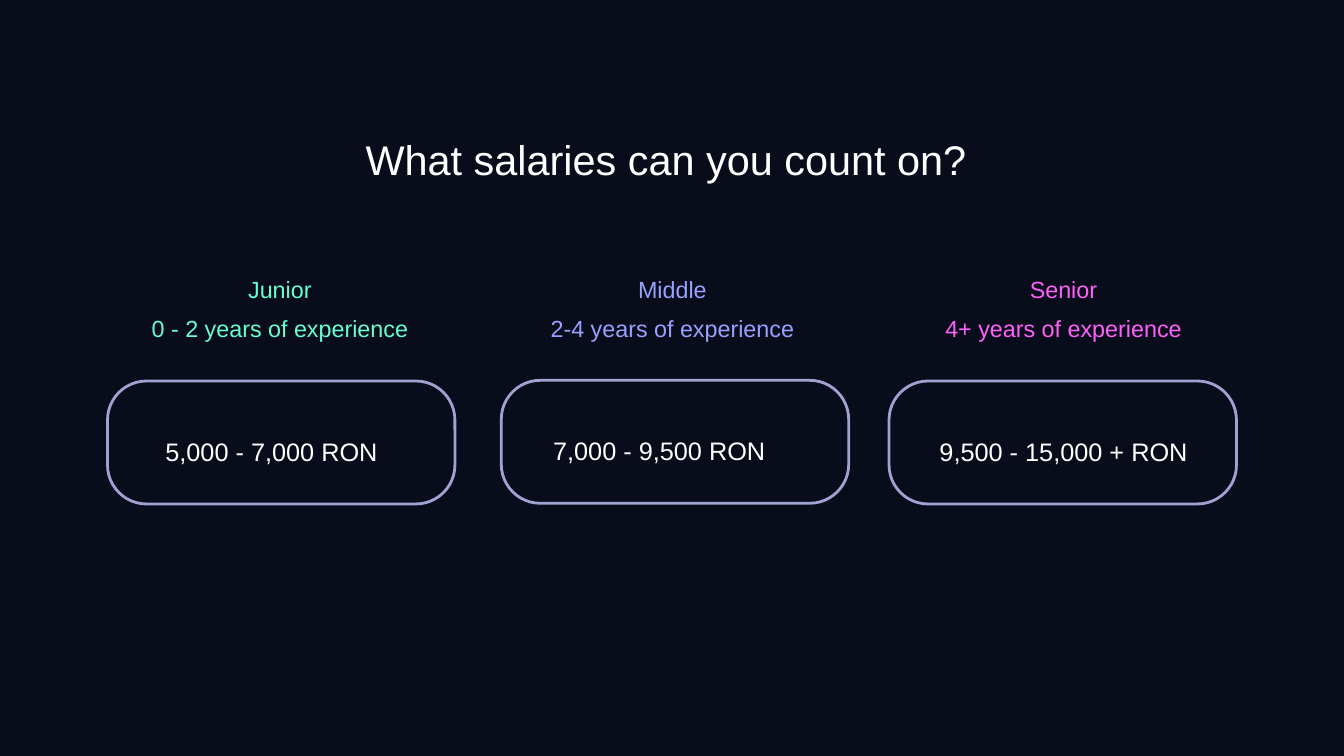
from pptx import Presentation
from pptx.dml.color import RGBColor
from pptx.enum import shapes, text
from pptx.util import Inches, Pt

COLORS = {
    "background": "080C1B",
    "white": "FFFFFF",
    "outline": "9EA3D2",
    "junior": "67FECF",
    "middle": "99A1FF",
    "senior": "FF61F8",
}
FONT = "Arial"
CARD_WIDTH, CARD_HEIGHT, CORNER_RADIUS = 5.17, 1.83, 0.58

# level, experience, salary, level colour, heading left, card left, card top, salary left, salary width
LEVELS = [
    ("Junior", "0 - 2 years of experience", "5,000 - 7,000 RON", "junior", 1.86, 1.6, 5.67, 2.46, 3.81),
    ("Middle", "2-4 years of experience", "7,000 - 9,500 RON", "middle", 7.7, 7.46, 5.66, 8.23, 3.81),
    ("Senior", "4+ years of experience", "9,500 - 15,000 + RON", "senior", 13.52, 13.23, 5.67, 13.98, 5.39),
]


def rgb(name):
    return RGBColor.from_string(COLORS[name])


def add_text(slide, lines, left, top, width, height, *, size, color="white",
             align=text.PP_ALIGN.LEFT):
    """Add a text box without margins, one paragraph per line."""
    box = slide.shapes.add_textbox(Inches(left), Inches(top), Inches(width), Inches(height))
    frame = box.text_frame
    frame.word_wrap = True
    frame.margin_left = frame.margin_right = frame.margin_top = frame.margin_bottom = 0
    frame.text = "\n".join(lines)
    for paragraph in frame.paragraphs:
        paragraph.alignment = align
        paragraph.line_spacing = 1.4
        paragraph.font.name = FONT
        paragraph.font.size = Pt(size)
        paragraph.font.color.rgb = rgb(color)


def add_card(slide, left, top):
    card = slide.shapes.add_shape(
        shapes.MSO_SHAPE.ROUNDED_RECTANGLE,
        Inches(left), Inches(top), Inches(CARD_WIDTH), Inches(CARD_HEIGHT))
    card.adjustments[0] = CORNER_RADIUS / CARD_HEIGHT
    card.shadow.inherit = False
    card.fill.background()
    card.line.color.rgb = rgb("outline")
    card.line.width = Pt(3)


def main():
    presentation = Presentation()
    presentation.slide_width = Inches(20)
    presentation.slide_height = Inches(11.25)
    slide = presentation.slides.add_slide(presentation.slide_layouts[6])
    slide.background.fill.solid()
    slide.background.fill.fore_color.rgb = rgb("background")

    add_text(slide, ["What salaries can you count on?"], 5.44, 1.7, 10.74, 0.84, size=44.4)
    for (level, experience, salary, color, heading_left,
         card_left, card_top, salary_left, salary_width) in LEVELS:
        add_card(slide, card_left, card_top)
        add_text(slide, [level, experience], heading_left, 3.93, 4.61, 1.18,
                 size=25, color=color, align=text.PP_ALIGN.CENTER)
        add_text(slide, [salary], salary_left, card_top + 0.64, salary_width, 1.28, size=27.1)

    presentation.save("out.pptx")


if __name__ == "__main__":
    main()
